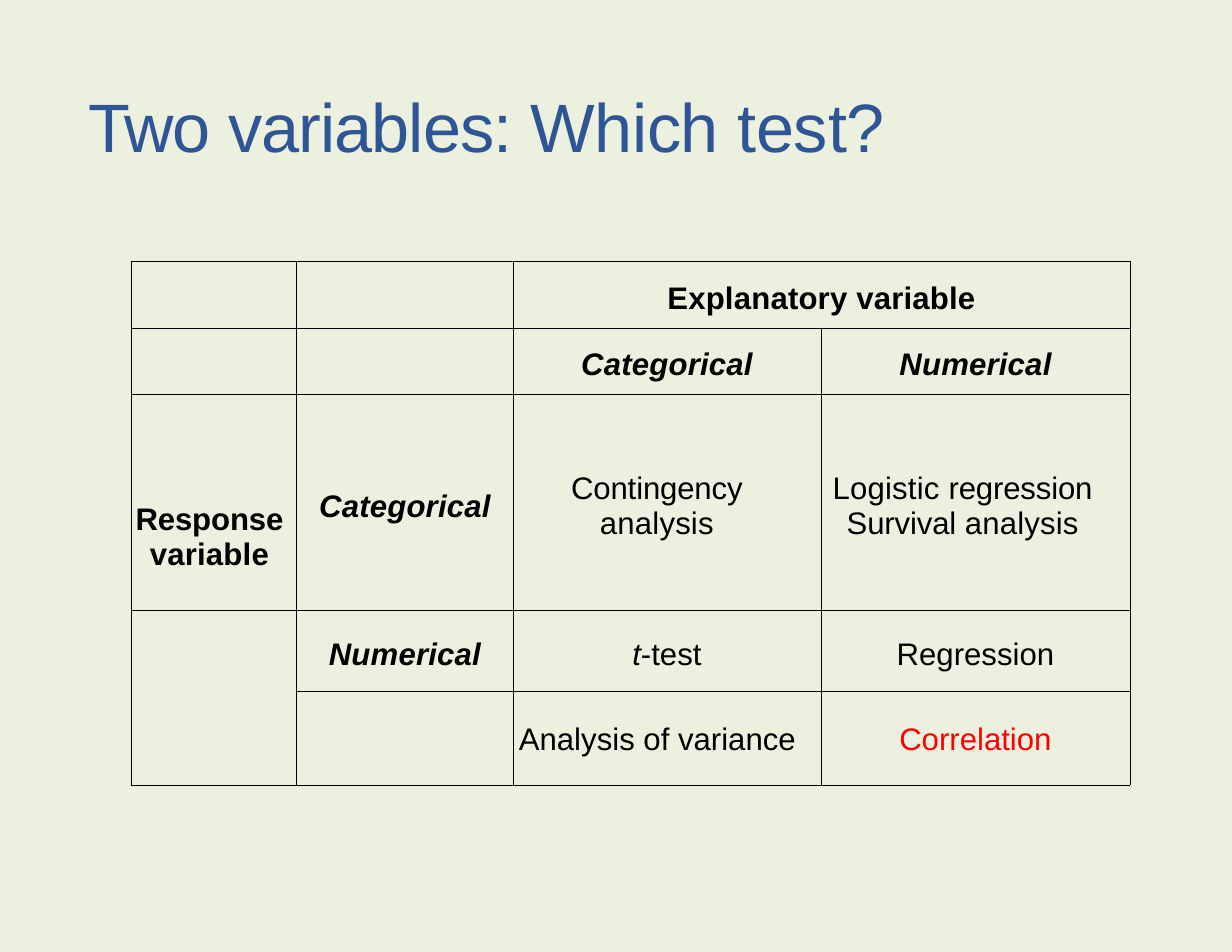
from lxml import etree
from pptx import Presentation
from pptx.dml.color import RGBColor
from pptx.enum.text import MSO_ANCHOR, MSO_AUTO_SIZE, PP_ALIGN
from pptx.oxml.ns import qn
from pptx.util import Inches, Pt

LEFT, CENTER = PP_ALIGN.LEFT, PP_ALIGN.CENTER
TOP, MIDDLE = MSO_ANCHOR.TOP, MSO_ANCHOR.MIDDLE
GROW = MSO_AUTO_SIZE.SHAPE_TO_FIT_TEXT
TITLE_ONLY = 5
FONT = "Arial"
PAPER, BLUE, BLACK, RED = "EBF1DE", "2F5597", "000000", "FF0000"
COLS = [1.48, 1.93, 2.75, 2.76]
ROWS = [0.6, 0.59, 1.93, 0.72, 0.84]
TITLE = [("Two ", -1.1), ("variables: ", -0.6), ("Which ", -0.4), ("test?", -0.1)]


def color(code):
    return RGBColor.from_string(code)


def add_run(para, text, size=20, tone=BLACK, bold=False, italic=False, gap=0):
    run = para.add_run()
    run.text = text
    font = run.font
    font.name, font.size = FONT, Pt(size)
    font.bold, font.italic = bold, italic
    font.color.rgb = color(tone)
    run._r.get_or_add_rPr().set("spc", str(round(gap * 100)))


def add_title(slide):
    title = slide.shapes.title
    title.left, title.top = Inches(0.79), Inches(0.71)
    title.width, title.height = Inches(8.46), Inches(0.76)
    frame = title.text_frame
    frame.margin_left = frame.margin_right = frame.margin_bottom = 0
    frame.margin_top = Inches(0.04)
    frame.vertical_anchor = TOP
    frame.word_wrap = True
    frame.auto_size = GROW
    para = frame.paragraphs[0]
    para.alignment = LEFT
    for text, gap in TITLE:
        add_run(para, text, 44, BLUE, gap=gap)


def add_edge(cell, index, side, shown):
    line = etree.Element(qn("a:ln" + side), w=str(Pt(0.5)))
    if shown:
        fill = etree.SubElement(line, qn("a:solidFill"))
        etree.SubElement(fill, qn("a:srgbClr"), val=BLACK)
    else:
        etree.SubElement(line, qn("a:noFill"))
    cell._tc.get_or_add_tcPr().insert(index, line)


def fill_cell(cell, lines, top=0.07, right=0, **style):
    cell.vertical_anchor = MIDDLE
    cell.margin_left = cell.margin_bottom = 0
    cell.margin_top, cell.margin_right = Inches(top), Inches(right)
    frame = cell.text_frame
    for index, runs in enumerate(lines):
        para = frame.add_paragraph() if index else frame.paragraphs[0]
        para.alignment = CENTER
        for text, extra in runs:
            if text == "\n":
                para.add_line_break()
            else:
                add_run(para, text, **style, **extra)


def add_grid(slide):
    frame = slide.shapes.add_table(len(ROWS), len(COLS), Inches(1.17), Inches(2.33),
                                   Inches(sum(COLS)), Inches(sum(ROWS)))
    table = frame.table
    table.first_row = table.horz_banding = False
    for col, width in zip(table.columns, COLS):
        col.width = Inches(width)
    for row, height in zip(table.rows, ROWS):
        row.height = Inches(height)
    for r in range(len(ROWS)):
        for c in range(len(COLS)):
            cell = table.cell(r, c)
            cell.fill.background()
            for index, side in enumerate("LRTB"):
                shown = (r, c, side) not in [(3, 0, "B"), (4, 0, "T")]
                add_edge(cell, index, side, shown)
    table.cell(0, 2).merge(table.cell(0, 3))
    return table


def fill_grid(table):
    head = {"bold": True, "italic": True}
    tight, wide = {"gap": -0.1}, {"gap": 0.1}
    fill_cell(table.cell(0, 2), [[("Explanatory variable", wide)]], bold=True)
    for spot, text in [((1, 2), "Categorical"), ((1, 3), "Numerical"),
                       ((2, 1), "Categorical"), ((3, 1), "Numerical")]:
        fill_cell(table.cell(*spot), [[(text, wide)]], **head)
    fill_cell(table.cell(2, 0), [[("Response", tight), ("\n", {}), ("variable", wide)]],
              top=0.62, right=0.08, bold=True)
    fill_cell(table.cell(2, 2), [[("Contingency", tight), ("\n", {}), ("analysis", wide)]],
              right=0.18)
    fill_cell(table.cell(2, 3), [[("Logistic ", wide), ("regression", tight)],
                                 [("Survival ", tight), ("analysis", wide)]], right=0.23)
    fill_cell(table.cell(3, 2), [[("t", {"italic": True}), ("-test", {})]])
    fill_cell(table.cell(3, 3), [[("Regression", {})]])
    fill_cell(table.cell(4, 2), [[("Analysis of variance", {})]], top=0.03, right=0.17)
    fill_cell(table.cell(4, 3), [[("Correlation", {})]], top=0.03, tone=RED)


def main():
    deck = Presentation()
    deck.slide_width, deck.slide_height = Inches(11), Inches(8.5)
    slide = deck.slides.add_slide(deck.slide_layouts[TITLE_ONLY])
    back = slide.background.fill
    back.solid()
    back.fore_color.rgb = color(PAPER)
    add_title(slide)
    fill_grid(add_grid(slide))
    deck.save("out.pptx")


if __name__ == "__main__":
    main()
